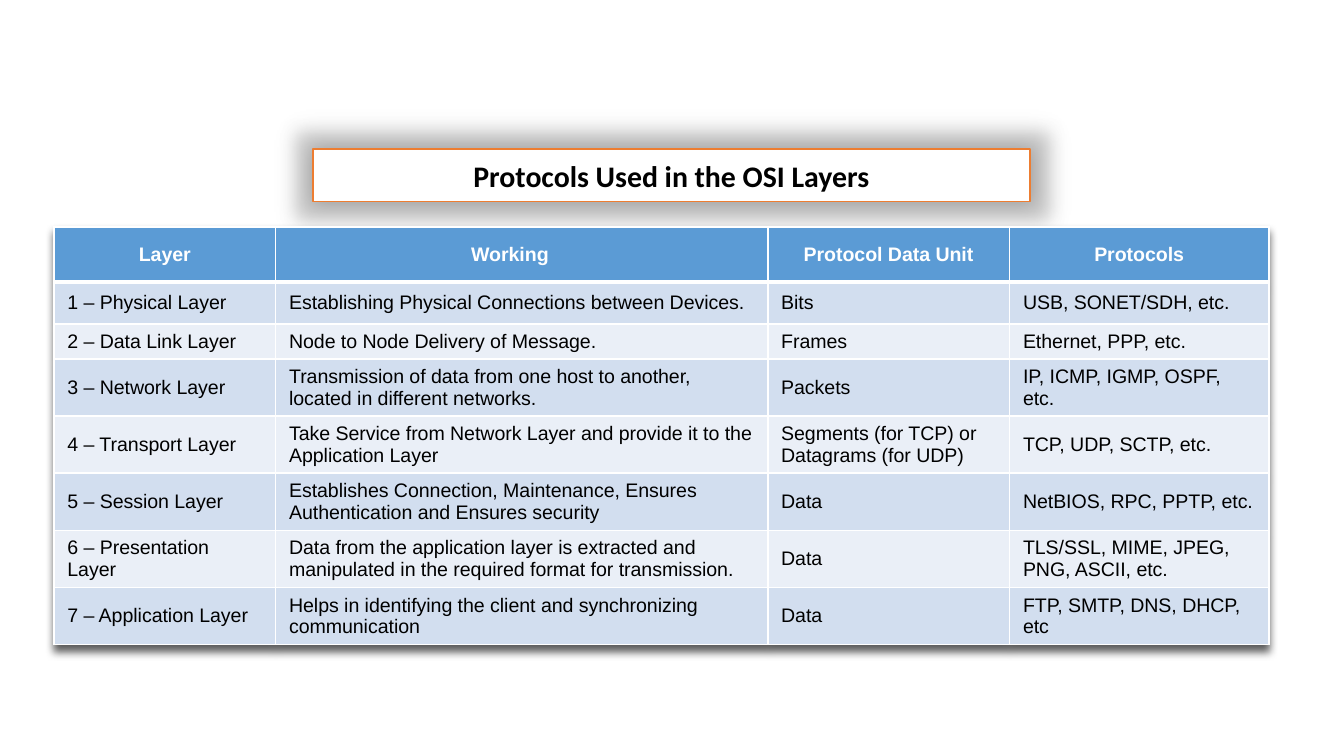
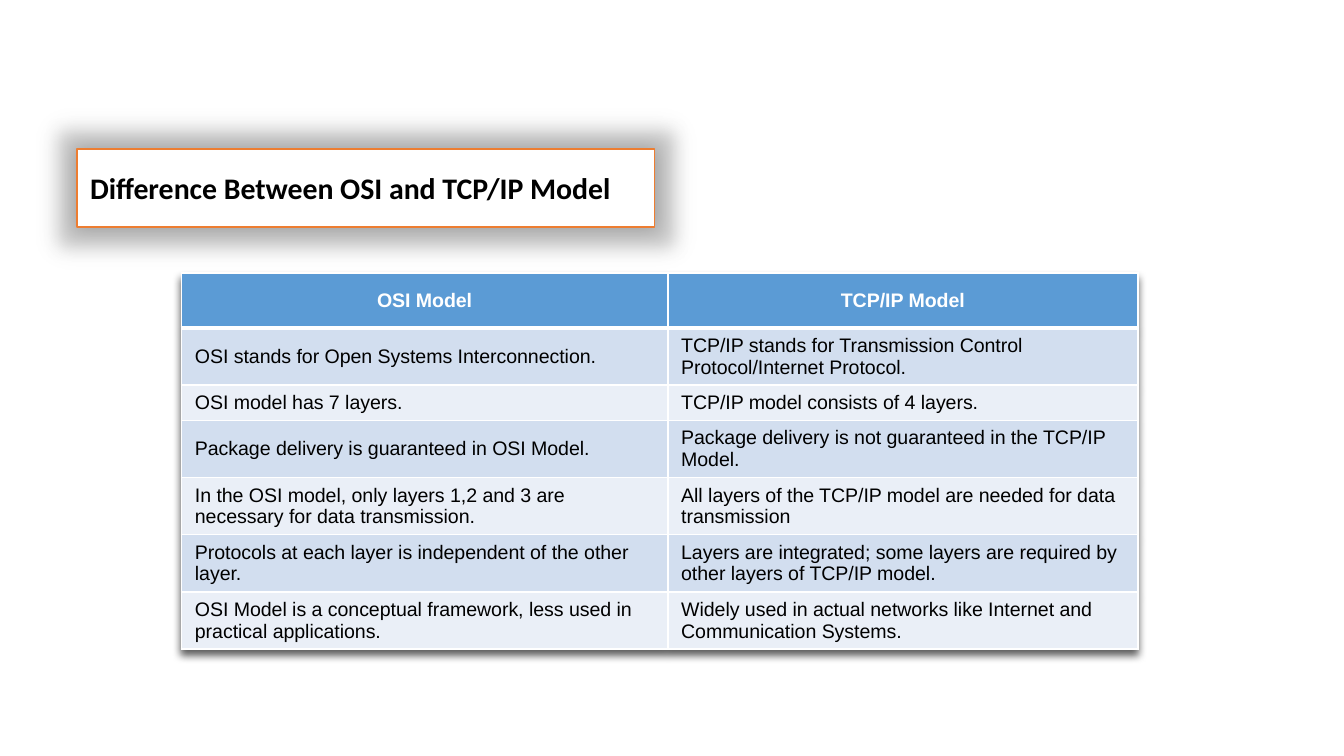
from dataclasses import dataclass

from lxml import etree
from pptx import Presentation
from pptx.dml.color import RGBColor
from pptx.enum.text import MSO_ANCHOR, MSO_AUTO_SIZE, PP_ALIGN
from pptx.oxml import parse_xml
from pptx.oxml.ns import nsdecls, qn
from pptx.slide import Slide
from pptx.table import _Cell
from pptx.text.text import _Paragraph
from pptx.util import Cm, Pt

CENTER, JUSTIFY, LEFT = PP_ALIGN.CENTER, PP_ALIGN.JUSTIFY, PP_ALIGN.LEFT
MIDDLE = MSO_ANCHOR.MIDDLE
NO_AUTOFIT = MSO_AUTO_SIZE.NONE
TITLE_ONLY = 5


@dataclass(frozen=True)
class Theme:
    white: str = "FFFFFF"
    text: str = "000000"
    accent: str = "ED7D31"
    glow: str = "A5A5A5"
    header: str = "5B9BD5"
    bands: tuple[str, str] = ("D2DEEF", "EAEFF7")
    title_font: str = "Calibri"
    table_font: str = "Arial"
    title_size: float = 16
    table_size: float = 10.5
    rule: float = 1
    header_rule: float = 3


@dataclass(frozen=True)
class TitleBox:
    text: str
    left: float
    width: float
    height: float
    align: PP_ALIGN


@dataclass(frozen=True)
class TableSpec:
    left: float
    top: float
    col_widths: list[float]
    row_heights: list[float]
    rows: list[tuple[str, ...]]


THEME = Theme()
TITLE_TOP = 2.82
# Row heights in centimetres
HEADER_ROW, ROOMY_ROW, ONE_LINE, TWO_LINES = 1.04, 0.79, 0.66, 1.08

PROTOCOLS_TITLE = TitleBox("Protocols Used in the OSI Layers", 5.92, 13.54, 0.99, CENTER)
PROTOCOLS_TABLE = TableSpec(
    1.02, 4.29, [4.19, 9.3, 4.57, 4.9],
    [HEADER_ROW, ROOMY_ROW, ONE_LINE] + [TWO_LINES] * 5,
    [
        ("Layer", "Working", "Protocol Data Unit", "Protocols"),
        ("1 – Physical Layer", "Establishing Physical Connections between Devices.",
         "Bits", "USB, SONET/SDH, etc."),
        ("2 – Data Link Layer", "Node to Node Delivery of Message.",
         "Frames", "Ethernet, PPP, etc."),
        ("3 – Network Layer",
         "Transmission of data from one host to another, located in different networks.",
         "Packets", "IP, ICMP, IGMP, OSPF, etc."),
        ("4 – Transport Layer",
         "Take Service from Network Layer and provide it to the Application Layer",
         "Segments (for TCP) or Datagrams (for UDP)", "TCP, UDP, SCTP, etc."),
        ("5 – Session Layer",
         "Establishes Connection, Maintenance, Ensures Authentication and Ensures security",
         "Data", "NetBIOS, RPC, PPTP, etc."),
        ("6 – Presentation Layer",
         "Data from the application layer is extracted and manipulated in the required "
         "format for transmission.",
         "Data", "TLS/SSL, MIME, JPEG, PNG, ASCII, etc."),
        ("7 – Application Layer",
         "Helps in identifying the client and synchronizing communication",
         "Data", "FTP, SMTP, DNS, DHCP, etc"),
    ])

MODELS_TITLE = TitleBox("Difference Between OSI and TCP/IP Model", 1.45, 10.92, 1.47, JUSTIFY)
MODELS_TABLE = TableSpec(
    3.43, 5.16, [9.19, 8.89],
    [HEADER_ROW, TWO_LINES, ONE_LINE] + [TWO_LINES] * 4,
    [
        ("OSI Model", "TCP/IP Model"),
        ("OSI stands for Open Systems Interconnection.",
         "TCP/IP stands for Transmission Control Protocol/Internet Protocol."),
        ("OSI model has 7 layers.", "TCP/IP model consists of 4 layers."),
        ("Package delivery is guaranteed in OSI Model.",
         "Package delivery is not guaranteed in the TCP/IP Model."),
        ("In the OSI model, only layers 1,2 and 3 are necessary for data transmission.",
         "All layers of the TCP/IP model are needed for data transmission"),
        ("Protocols at each layer is independent of the other layer.",
         "Layers are integrated; some layers are required by other layers of TCP/IP model."),
        ("OSI Model is a conceptual framework, less used in practical applications.",
         "Widely used in actual networks like Internet and Communication Systems."),
    ])


def rgb(value: str) -> RGBColor:
    return RGBColor.from_string(value)


def effects(blur: float, distance: float, alpha: int, glow: float = 0) -> etree._Element:
    """Build a downward shadow, with an optional glow; lengths in points."""
    glow_xml = (f'<a:glow rad="{Pt(glow)}"><a:srgbClr val="{THEME.glow}">'
                '<a:alpha val="40000"/></a:srgbClr></a:glow>') if glow else ""
    return parse_xml(
        f'<a:effectLst {nsdecls("a")}>{glow_xml}'
        f'<a:outerShdw blurRad="{Pt(blur)}" dist="{Pt(distance)}" dir="5400000" '
        f'algn="ctr" rotWithShape="0"><a:srgbClr val="{THEME.text}">'
        f'<a:alpha val="{alpha * 1000}"/></a:srgbClr></a:outerShdw></a:effectLst>')


def style(p: _Paragraph, font: str, size: float, color: str, bold: bool,
          align: PP_ALIGN) -> None:
    p.alignment = align
    p.font.name, p.font.size, p.font.bold = font, Pt(size), bold
    p.font.color.rgb = rgb(color)


def set_borders(cell: _Cell, top: float, bottom: float) -> None:
    tc_pr = cell._tc.get_or_add_tcPr()
    widths = {"lnL": THEME.rule, "lnR": THEME.rule, "lnT": top, "lnB": bottom}
    for i, (tag, width) in enumerate(widths.items()):
        ln = etree.Element(qn(f"a:{tag}"), w=str(Pt(width)))
        fill = etree.SubElement(ln, qn("a:solidFill"))
        etree.SubElement(fill, qn("a:srgbClr"), val=THEME.white)
        tc_pr.insert(i, ln)


def add_title(s: Slide, box: TitleBox) -> None:
    sp = s.shapes.title
    sp.left, sp.top = Cm(box.left), Cm(TITLE_TOP)
    sp.width, sp.height = Cm(box.width), Cm(box.height)
    sp.fill.solid()
    sp.fill.fore_color.rgb = rgb(THEME.white)
    sp.line.color.rgb = rgb(THEME.accent)
    sp.line.width = Pt(THEME.rule)
    sp._element.spPr.append(effects(blur=10, distance=0, alpha=40, glow=18))
    tf = sp.text_frame
    tf.text = box.text
    tf.word_wrap, tf.auto_size, tf.vertical_anchor = True, NO_AUTOFIT, MIDDLE
    style(tf.paragraphs[0], THEME.title_font, THEME.title_size, THEME.text, True, box.align)


def add_table(s: Slide, spec: TableSpec) -> None:
    frame = s.shapes.add_table(
        len(spec.rows), len(spec.col_widths), Cm(spec.left), Cm(spec.top),
        Cm(sum(spec.col_widths)), Cm(sum(spec.row_heights)))
    table = frame.table
    table._tbl.tblPr.insert(0, effects(blur=4.5, distance=3, alpha=63))
    for column, width in zip(table.columns, spec.col_widths):
        column.width = Cm(width)
    for row, height in zip(table.rows, spec.row_heights):
        row.height = Cm(height)

    for i, texts in enumerate(spec.rows):
        is_header = i == 0
        fill = THEME.header if is_header else THEME.bands[(i - 1) % 2]
        color = THEME.white if is_header else THEME.text
        top = THEME.header_rule if i == 1 else THEME.rule
        bottom = THEME.header_rule if is_header else THEME.rule
        for j, text in enumerate(texts):
            cell = table.cell(i, j)
            cell.text = text
            cell.vertical_anchor = MIDDLE
            cell.fill.solid()
            cell.fill.fore_color.rgb = rgb(fill)
            set_borders(cell, top, bottom)
            style(cell.text_frame.paragraphs[0], THEME.table_font, THEME.table_size,
                  color, is_header, CENTER if is_header else LEFT)
            if text == "Working":  # this heading sits a little left of centre
                cell.margin_right = Cm(0.7)


def main() -> None:
    prs = Presentation()
    prs.slide_width, prs.slide_height = Cm(25.4), Cm(14.29)
    for box, spec in ((PROTOCOLS_TITLE, PROTOCOLS_TABLE), (MODELS_TITLE, MODELS_TABLE)):
        s = prs.slides.add_slide(prs.slide_layouts[TITLE_ONLY])
        add_title(s, box)
        add_table(s, spec)
    prs.save("out.pptx")


if __name__ == "__main__":
    main()
